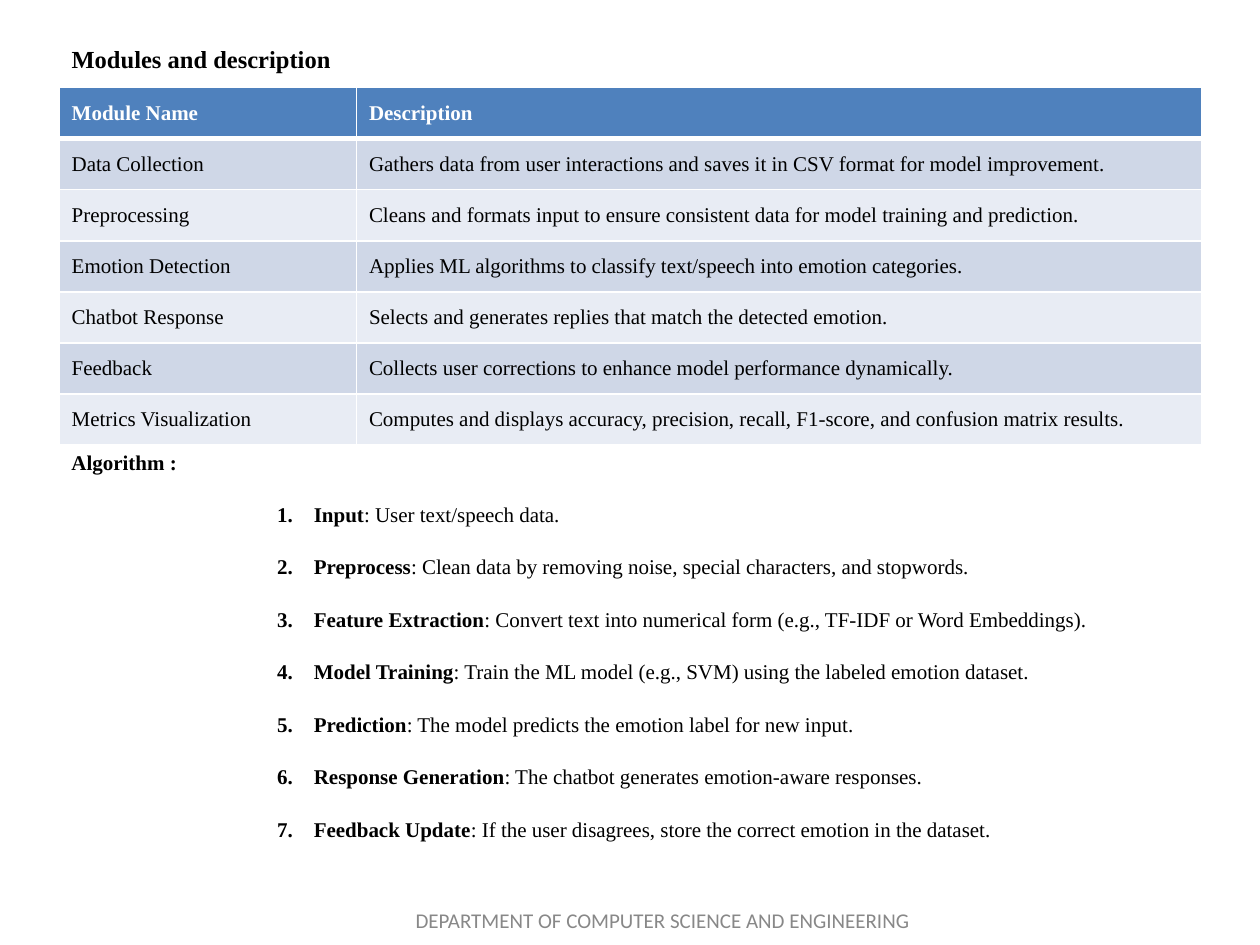
from lxml import etree
from pptx import Presentation
from pptx.dml.color import RGBColor
from pptx.enum.text import MSO_ANCHOR, PP_ALIGN
from pptx.oxml.ns import qn
from pptx.util import Pt

MIDDLE = MSO_ANCHOR.MIDDLE
BOTTOM = MSO_ANCHOR.BOTTOM
LEFT = PP_ALIGN.LEFT
CENTER = PP_ALIGN.CENTER
JUSTIFY = PP_ALIGN.JUSTIFY

SERIF = "Times New Roman"
SANS = "Calibri"
BLACK = "000000"
WHITE = "FFFFFF"
GRAY = "888888"
HEADER_FILL = "4F81BD"
BAND_FILLS = ("CFD7E7", "E8ECF4")

MODULES = [
    ("Module Name", "Description"),
    ("Data Collection", "Gathers data from user interactions and saves it in CSV format for model improvement."),
    ("Preprocessing", "Cleans and formats input to ensure consistent data for model training and prediction."),
    ("Emotion Detection", "Applies ML algorithms to classify text/speech into emotion categories."),
    ("Chatbot Response", "Selects and generates replies that match the detected emotion."),
    ("Feedback", "Collects user corrections to enhance model performance dynamically."),
    ("Metrics Visualization", "Computes and displays accuracy, precision, recall, F1-score, and confusion matrix results."),
]

STEPS = [
    ("Input", "User text/speech data."),
    ("Preprocess", "Clean data by removing noise, special characters, and stopwords."),
    ("Feature Extraction", "Convert text into numerical form (e.g., TF-IDF or Word Embeddings)."),
    ("Model Training", "Train the ML model (e.g., SVM) using the labeled emotion dataset."),
    ("Prediction", "The model predicts the emotion label for new input."),
    ("Response Generation", "The chatbot generates emotion-aware responses."),
    ("Feedback Update", "If the user disagrees, store the correct emotion in the dataset."),
]


def color(value):
    return RGBColor.from_string(value)


def add_run(paragraph, text, size=12, bold=False, font=SERIF, fill=BLACK):
    run = paragraph.add_run()
    run.text = text
    run.font.name = font
    run.font.size = Pt(size)
    run.font.bold = bold
    run.font.color.rgb = color(fill)


def add_text_frame(slide, box, anchor):
    frame = slide.shapes.add_textbox(*map(Pt, box)).text_frame
    frame.word_wrap = True
    frame.vertical_anchor = anchor
    return frame


def add_label(slide, box, text, alignment=LEFT, **style):
    paragraph = add_text_frame(slide, box, MIDDLE).paragraphs[0]
    paragraph.alignment = alignment
    add_run(paragraph, text, **style)


def set_borders(cell, widths):
    properties = cell._tc.get_or_add_tcPr()
    for index, (side, width) in enumerate(widths.items()):
        line = etree.Element(qn(f"a:ln{side}"), w=str(Pt(width)))
        fill = etree.SubElement(line, qn("a:solidFill"))
        etree.SubElement(fill, qn("a:srgbClr"), val=WHITE)
        properties.insert(index, line)


def add_module_table(slide, box, name_width):
    left, top, width, height = box
    table = slide.shapes.add_table(len(MODULES), 2, *map(Pt, box)).table
    table.columns[0].width = Pt(name_width)
    table.columns[1].width = Pt(width - name_width)
    for row_index, values in enumerate(MODULES):
        header = row_index == 0
        table.rows[row_index].height = Pt(height / len(MODULES))
        fill = HEADER_FILL if header else BAND_FILLS[(row_index - 1) % 2]
        widths = {"L": 1, "R": 1, "T": 3 if row_index == 1 else 1, "B": 3 if header else 1}
        for column_index, text in enumerate(values):
            cell = table.cell(row_index, column_index)
            cell.vertical_anchor = MIDDLE
            cell.fill.solid()
            cell.fill.fore_color.rgb = color(fill)
            set_borders(cell, widths)
            add_run(cell.text_frame.paragraphs[0], text, bold=header, fill=WHITE if header else BLACK)


def number_paragraph(paragraph, margin, hanging):
    properties = paragraph._p.get_or_add_pPr()
    properties.set("marL", str(Pt(margin)))
    properties.set("indent", str(-Pt(hanging)))
    bullet_color = etree.SubElement(properties, qn("a:buClr"))
    etree.SubElement(bullet_color, qn("a:srgbClr"), val=BLACK)
    etree.SubElement(properties, qn("a:buFont"), typeface=SERIF)
    etree.SubElement(properties, qn("a:buAutoNum"), type="arabicPeriod")


def add_algorithm(slide, box):
    frame = add_text_frame(slide, box, BOTTOM)
    heading = frame.paragraphs[0]
    heading.line_spacing = 2.0
    add_run(heading, "Algorithm :", bold=True)
    for name, description in STEPS:
        paragraph = frame.add_paragraph()
        number_paragraph(paragraph, 138.5, 21)
        paragraph.alignment = JUSTIFY
        paragraph.line_spacing = 2.0
        paragraph.space_before = Pt(1.2)
        add_run(paragraph, name, bold=True)
        add_run(paragraph, f": {description}")


def main():
    presentation = Presentation()
    presentation.slide_width = Pt(720)
    presentation.slide_height = Pt(540)
    slide = presentation.slides.add_slide(presentation.slide_layouts[6])
    add_label(slide, (33.8, 17.3, 290, 32.4), "Modules and description", size=14, bold=True)
    add_module_table(slide, (33.8, 50, 652.8, 204.4), 169.9)
    add_algorithm(slide, (33.8, 249.1, 620, 235.4))
    add_label(slide, (216.7, 511.2, 324, 28.8), "DEPARTMENT OF COMPUTER SCIENCE AND ENGINEERING",
              CENTER, font=SANS, fill=GRAY)
    presentation.save("out.pptx")


if __name__ == "__main__":
    main()
